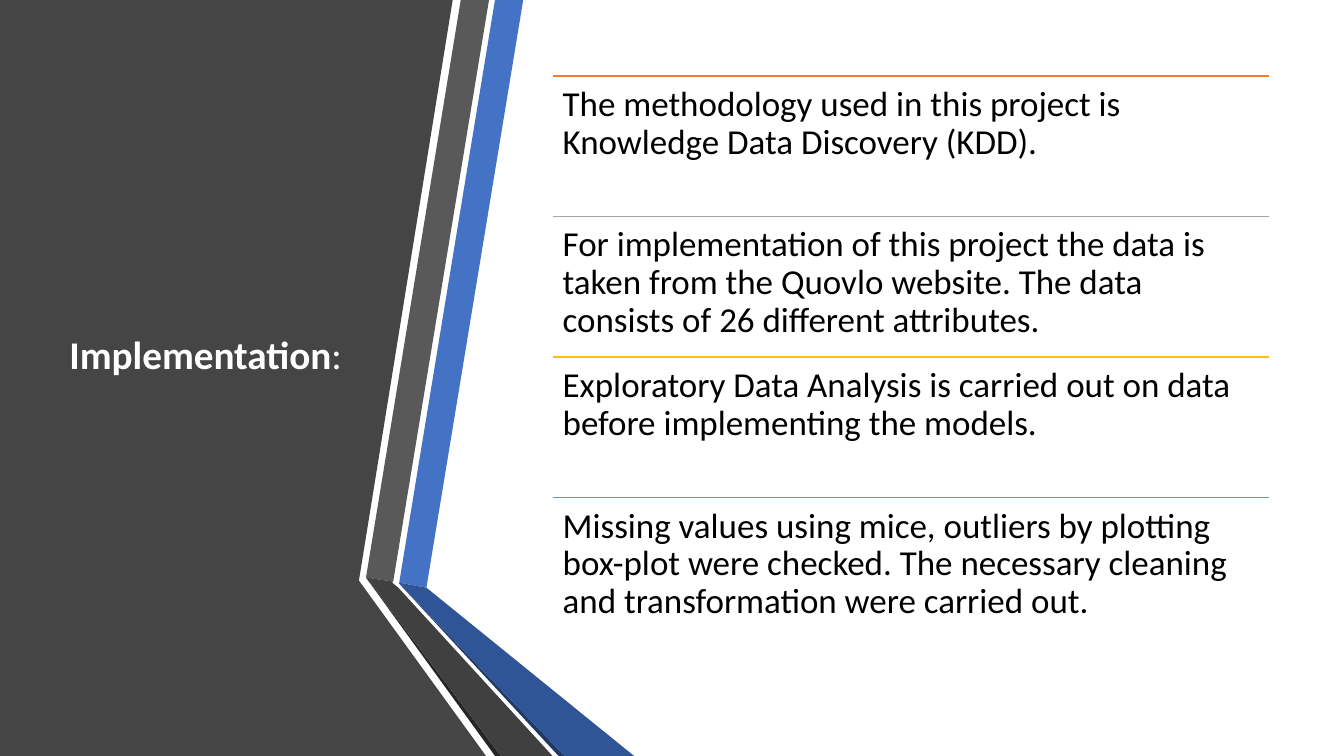
"""Build the Implementation slide: a folded ribbon panel beside four ruled statements."""
from lxml import etree
from pptx import Presentation, util as u
from pptx.dml.color import RGBColor
from pptx.enum import shapes, text
from pptx.oxml.ns import qn

THEME = {
    "font": "Calibri", "title_size": 28, "body_size": 25, "rule_width": 1,
    "title": "FFFFFF", "body": "000000", "panel": "454545",
    "blue": "4472C4", "blue_fold": "2F5597", "blue_shade": "203864",
    "grey": "595959", "grey_fold": "404040", "grey_shade": "262626",
    "rules": ["ED7D31", "A5A5A5", "FFC000", "5B9BD5"],
}
COLUMNS, ROWS = 1333, 750
CELL = u.Inches(0.01)

presentation = Presentation()
presentation.slide_width = COLUMNS * CELL
presentation.slide_height = ROWS * CELL
slide = presentation.slides.add_slide(presentation.slide_layouts[6])


def add_text(column, row, width, height, words, size, colour):
    """Add a text box on the grid and return it."""
    box = slide.shapes.add_textbox(*(round(n * CELL) for n in (column, row, width, height)))
    frame = box.text_frame
    frame.word_wrap = True
    paragraph = frame.paragraphs[0]
    paragraph.line_spacing = 0.9
    for part in words:
        run = paragraph.add_run()
        run.text = part
        run.font.name = THEME["font"]
        run.font.size = u.Pt(size)
        run.font.color.rgb = RGBColor.from_string(colour)
    return box


ribbon = [
    ("panel", [(0, 0), (449, 0), (356, 576), (482, ROWS), (0, ROWS)]),
    ("blue", [(396, 578), (423, 583), (519, 0), (491, 0)]),
    ("grey", [(485, 0), (457, 0), (363, 573), (390, 577)]),
    ("grey_shade", [(363, 573), (491, ROWS), (497, ROWS)]),
    ("blue_shade", [(396, 579), (554, ROWS), (560, ROWS)]),
    ("blue_fold", [(396, 579), (560, ROWS), (629, ROWS), (423, 583), (396, 578)]),
    ("grey_fold", [(548, ROWS), (395, 583), (389, 578), (390, 577), (363, 573), (497, ROWS)]),
]
for colour, points in ribbon:
    builder = slide.shapes.build_freeform(*points[0], scale=CELL)
    builder.add_line_segments(points[1:], close=True)
    shape = builder.convert_to_shape()
    shape.shadow.inherit = False
    shape.fill.solid()
    shape.fill.fore_color.rgb = RGBColor.from_string(THEME[colour])
    shape.line.fill.background()

title = add_text(59, 75, 304, 558, ["Implementation", ":"], THEME["title_size"], THEME["title"])
title.text_frame.vertical_anchor = text.MSO_ANCHOR.MIDDLE
title.text_frame.paragraphs[0].runs[0].font.bold = True

statements = [
    "The methodology used in this project is Knowledge Data Discovery (KDD).",
    "For implementation of this project the data is taken from the Quovlo website. "
    "The data consists of 26 different attributes.",
    "Exploratory Data Analysis is carried out on data before implementing the models.",
    "Missing values using mice, outliers by plotting box-plot were checked. "
    "The necessary cleaning and transformation were carried out.",
]
left, top, width = 548.3, 75.3, 710
pitch = 558 / len(statements)
for index, (statement, colour) in enumerate(zip(statements, THEME["rules"])):
    row = top + index * pitch
    start, end, level = (round(n * CELL) for n in (left, left + width, row))
    rule = slide.shapes.add_connector(shapes.MSO_CONNECTOR.STRAIGHT, start, level, end, level)
    rule.line.color.rgb = RGBColor.from_string(colour)
    rule.line.width = u.Pt(THEME["rule_width"])
    etree.SubElement(rule._element.spPr, qn("a:effectLst"))
    body = add_text(left, row, width, pitch, [statement], THEME["body_size"], THEME["body"])
    body.text_frame.margin_top = body.text_frame.margin_bottom = 10 * CELL

presentation.save("out.pptx")
